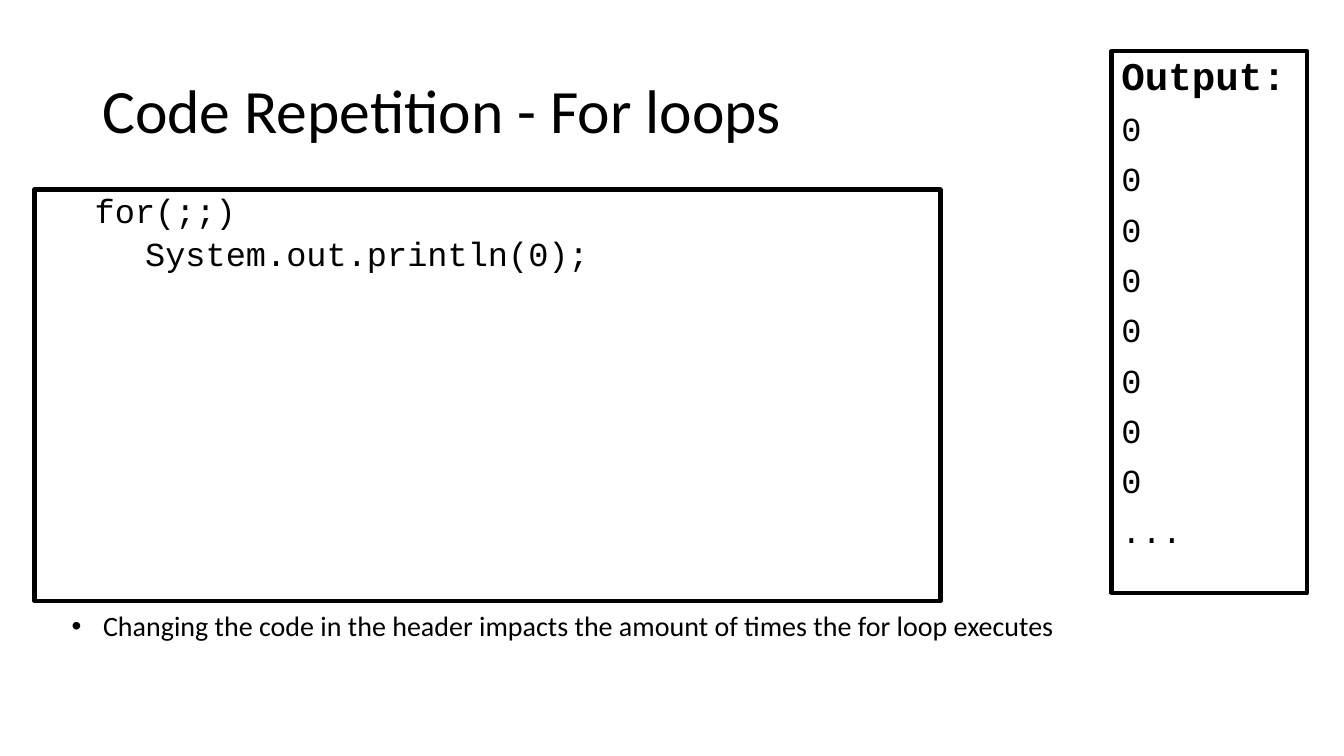
"""Build the slide on for loops with an empty header."""
from dataclasses import dataclass

from lxml import etree
from pptx import Presentation
from pptx import util as u
from pptx.dml.color import RGBColor
from pptx.enum import shapes, text
from pptx.oxml.ns import qn


@dataclass(frozen=True)
class Theme:
    """Colours, fonts and type sizes of the slide."""
    ink: RGBColor = RGBColor(0, 0, 0)
    body_font: str = "Calibri"
    code_font: str = "Courier New"
    title_size: int = 44
    heading_size: int = 28
    code_size: int = 24
    body_size: int = 20
    border: int = 3
    tight: float = 0.9


class Slide:
    """A page with one method for each kind of element."""

    def __init__(self, deck, theme):
        """Add a blank page to the deck."""
        self.theme = theme
        self.page = deck.slides.add_slide(deck.slide_layouts[6])

    def set_words(self, para, words, font, size, bold=False):
        """Put styled words in a paragraph."""
        para.text = words
        para.alignment = text.PP_ALIGN.LEFT
        para.font.name = font
        para.font.size = u.Pt(size)
        para.font.bold = bold
        para.font.color.rgb = self.theme.ink

    def set_indent(self, para, margin, indent):
        """Set the left margin and first-line indent, and return the properties."""
        props = para._p.get_or_add_pPr()
        props.set("marL", str(u.Pt(margin)))
        props.set("indent", str(u.Pt(indent)))
        return props

    def text_box(self, left, top, width, height, anchor):
        """Add a wrapping text box and return its frame."""
        box = self.page.shapes.add_textbox(*map(u.Pt, (left, top, width, height)))
        frame = box.text_frame
        frame.word_wrap = True
        frame.vertical_anchor = anchor
        return frame

    def title(self, left, top, width, height, words):
        """Add the slide title."""
        frame = self.text_box(left, top, width, height, text.MSO_ANCHOR.MIDDLE)
        para = frame.paragraphs[0]
        para.line_spacing = self.theme.tight
        self.set_words(para, words, self.theme.body_font, self.theme.title_size)

    def bullet(self, left, top, width, height, words, indent):
        """Add a single bulleted line."""
        frame = self.text_box(left, top, width, height, text.MSO_ANCHOR.TOP)
        para = frame.paragraphs[0]
        props = self.set_indent(para, indent, -indent)
        etree.SubElement(props, qn("a:buFont"), typeface="Arial")
        etree.SubElement(props, qn("a:buChar"), char="•")
        self.set_words(para, words, self.theme.body_font, self.theme.body_size)

    def code_frame(self, left, top, width, height, lines, gap):
        """Add an outlined box of (words, size, bold, margin, indent) lines."""
        box = self.page.shapes.add_shape(
            shapes.MSO_SHAPE.RECTANGLE, *map(u.Pt, (left, top, width, height)))
        box.shadow.inherit = False
        box.fill.background()
        box.line.color.rgb = self.theme.ink
        box.line.width = u.Pt(self.theme.border)
        frame = box.text_frame
        frame.word_wrap = True
        frame.vertical_anchor = text.MSO_ANCHOR.TOP
        for index, (words, size, bold, margin, indent) in enumerate(lines):
            para = frame.add_paragraph() if index else frame.paragraphs[0]
            para.line_spacing = self.theme.tight
            if index:
                para.space_before = u.Pt(gap)
            self.set_indent(para, margin, indent)
            self.set_words(para, words, self.theme.code_font, size, bold)


def main():
    """Lay out the slide and save it."""
    theme = Theme()
    deck = Presentation()
    deck.slide_width, deck.slide_height = u.Pt(960), u.Pt(540)
    slide = Slide(deck, theme)
    slide.title(66, 28.8, 828, 104.4, "Code Repetition - For loops")
    output = [("Output:", theme.heading_size, True, 0, 0)]
    output += [(words, theme.code_size, False, 0, 0) for words in ["0"] * 8 + ["..."]]
    slide.code_frame(794, 36.6, 139.8, 386.8, output, gap=10)
    slide.bullet(
        44, 431.2, 868, 31.6,
        "Changing the code in the header impacts the amount of times the for loop executes",
        indent=22.5)
    loop = [("for(;;)", theme.code_size, False, 36, 0),
            ("System.out.println(0);", theme.code_size, False, 36, 36)]
    slide.code_frame(24.6, 135.4, 647.2, 293.8, loop, gap=5)
    deck.save("out.pptx")


if __name__ == "__main__":
    main()
